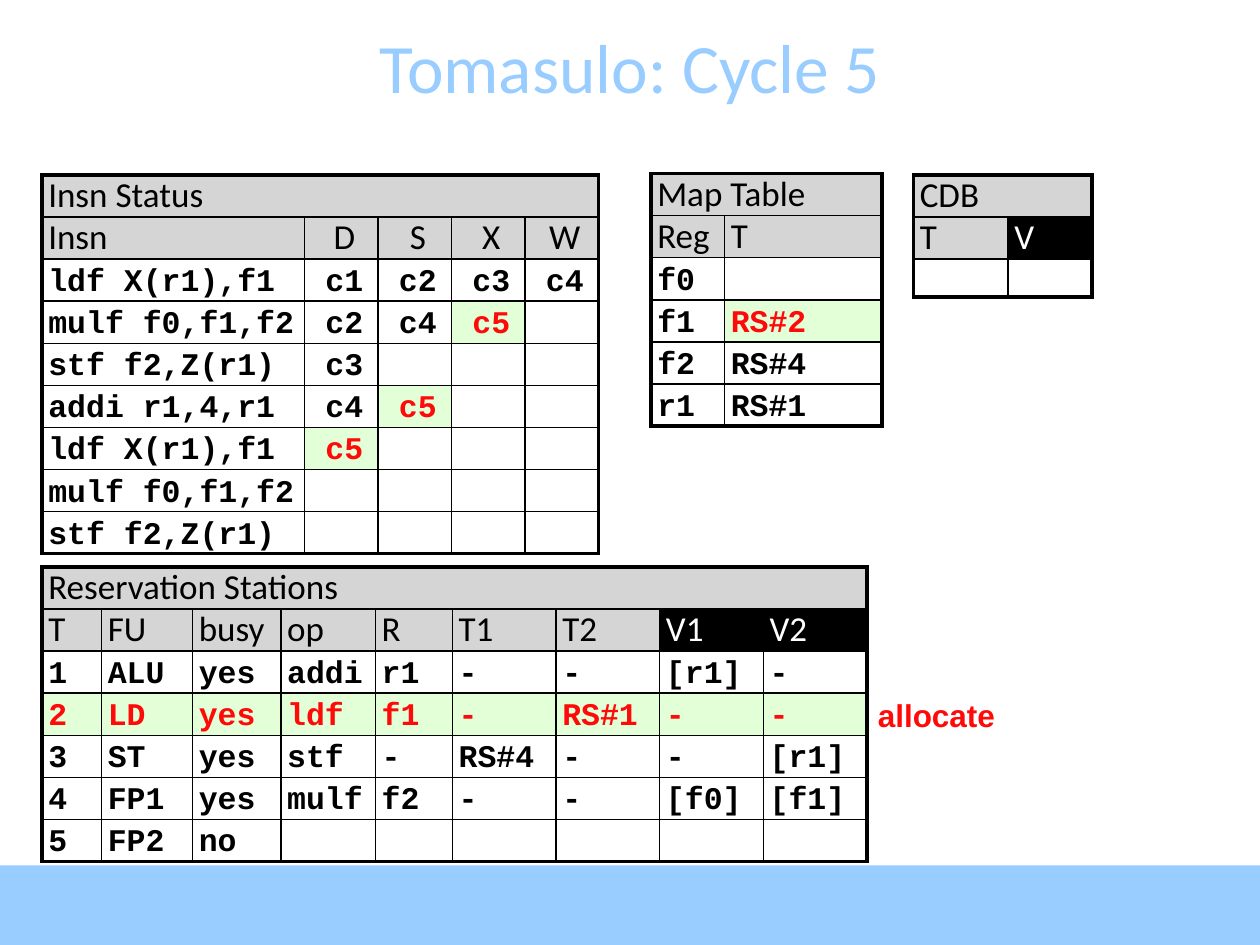
from dataclasses import dataclass

from lxml.etree import SubElement
from pptx import Presentation
from pptx.dml.color import RGBColor
from pptx.enum.shapes import MSO_SHAPE as Shape
from pptx.enum.text import MSO_ANCHOR as Anchor, PP_ALIGN as Align
from pptx.oxml.ns import qn
from pptx.util import Pt


@dataclass(frozen=True)
class Theme:
    sky: str = "99CCFF"
    black: str = "000000"
    white: str = "FFFFFF"
    grey: str = "D5D5D5"
    mint: str = "E2FFD8"
    red: str = "FF0909"
    title: float = 39.6
    head: float = 20
    body: float = 18
    thick: float = 2.25
    thin: float = 1
    row: float = 24


THEME = Theme()
HEAD = {"size": Pt(THEME.head), "name": "Calibri", "bold": False}
CODE = {"size": Pt(THEME.body), "name": "Courier New", "bold": True}

# A leading * marks an entry that is new in this cycle.
INSNS = """Insn|D|S|X|W
ldf X(r1),f1|c1|c2|c3|c4
mulf f0,f1,f2|c2|c4|*c5|
stf f2,Z(r1)|c3|||
addi r1,4,r1|c4|*c5||
ldf X(r1),f1|*c5|||
mulf f0,f1,f2||||
stf f2,Z(r1)||||"""

REGS = """Reg|T
f0|
f1|*RS#2
f2|RS#4
r1|RS#1"""

STATIONS = """T|FU|busy|op|R|T1|T2|V1|V2
1|ALU|yes|addi|r1|-|-|[r1]|-
*2|*LD|*yes|*ldf|*f1|*-|*RS#1|*-|*-
3|ST|yes|stf|-|RS#4|-|-|[r1]
4|FP1|yes|mulf|f2|-|-|[f0]|[f1]
5|FP2|no||||||"""

BUS = """T|V
|"""


def write(para, text, color, fmt):
    run = para.add_run()
    run.text = text
    for name, value in fmt.items():
        setattr(run.font, name, value)
    run.font.color.rgb = RGBColor.from_string(color)


def add_bar(slide, x, y, w, h):
    bar = slide.shapes.add_shape(Shape.RECTANGLE, Pt(x), Pt(y), Pt(w), Pt(h))
    bar.shadow.inherit = False
    bar.fill.solid()
    bar.fill.fore_color.rgb = RGBColor.from_string(THEME.sky)
    bar.line.fill.background()


def add_label(slide, box, text, color, fmt, align=Align.LEFT, wrap=False):
    frame = slide.shapes.add_textbox(*map(Pt, box)).text_frame
    frame.word_wrap = wrap
    frame.vertical_anchor = Anchor.MIDDLE
    para = frame.paragraphs[0]
    para.alignment = align
    write(para, text, color, fmt)


def rule(cell, r, c, rows, cols):
    """Draw thick lines on the outer edges of the table, thin ones inside."""
    outer = {"L": c == 0, "R": c + cell.span_width == cols,
             "T": r == 0, "B": r == rows - 1}
    props = cell._tc.get_or_add_tcPr()
    for side, edge in outer.items():
        if r == 0 and side in "LR" and not edge:
            continue
        width = Pt(THEME.thick if edge else THEME.thin)
        line = SubElement(props, qn(f"a:ln{side}"), w=str(width))
        fill = SubElement(line, qn("a:solidFill"))
        SubElement(fill, qn("a:srgbClr"), val=THEME.black)


def fill_cell(cell, text, head, align):
    new = text.startswith("*")
    dark = head and text in ("V", "V1", "V2")
    if head:
        back = THEME.black if dark else THEME.grey
    else:
        back = THEME.mint if new else None
    if back:
        cell.fill.solid()
        cell.fill.fore_color.rgb = RGBColor.from_string(back)
    else:
        cell.fill.background()
    para = cell.text_frame.paragraphs[0]
    para.alignment = align
    para.line_spacing = Pt(THEME.row if text else THEME.body)
    if text:
        color = THEME.white if dark else THEME.red if new else THEME.black
        write(para, text.lstrip("*"), color, HEAD if head else CODE)


def add_grid(slide, x, y, widths, title, data, rest=Align.LEFT, last=THEME.row):
    """Add a titled table; rest aligns all columns but the first."""
    cols = len(widths)
    body = [line.split("|") for line in data.splitlines()]
    lines = [[title] + [""] * (cols - 1)] + body
    rows = len(lines)
    heights = [THEME.row] * (rows - 1) + [last]
    table = slide.shapes.add_table(rows, cols, Pt(x), Pt(y), Pt(sum(widths)),
                                   Pt(sum(heights))).table
    table.first_row = table.horz_banding = False
    for col, width in zip(table.columns, widths):
        col.width = Pt(width)
    for row, height in zip(table.rows, heights):
        row.height = Pt(height)
    table.cell(0, 0).merge(table.cell(0, cols - 1))
    margins = {"margin_left": Pt(3.6), "margin_right": 0,
               "margin_top": 0, "margin_bottom": 0}
    for r, line in enumerate(lines):
        for c, text in enumerate(line):
            cell = table.cell(r, c)
            for name, value in margins.items():
                setattr(cell, name, value)
            rule(cell, r, c, rows, cols)
            fill_cell(cell, text, r < 2, rest if c else Align.LEFT)


def main():
    deck = Presentation()
    deck.slide_width, deck.slide_height = Pt(720), Pt(540)
    slide = deck.slides.add_slide(deck.slide_layouts[6])
    add_bar(slide, 0, 494.5, 720, 45.5)
    add_label(slide, (0, 15, 720, 45), "Tomasulo: Cycle 5", THEME.sky,
              {"size": Pt(THEME.title), "name": "Calibri"}, Align.CENTER, True)
    add_grid(slide, 24, 100, [150] + [42] * 4, "Insn Status", INSNS, Align.CENTER)
    add_grid(slide, 372, 99.2, [42, 90], "Map Table", REGS)
    add_grid(slide, 24, 324, [34, 52, 50.5, 54, 44] + [59.25] * 4,
             "Reservation Stations", STATIONS)
    add_grid(slide, 522, 100, [54, 48], "CDB", BUS, last=19.5)
    add_label(slide, (494.5, 394, 81.5, 29), "allocate", THEME.red,
              {"size": Pt(THEME.body), "name": "Arial", "bold": True})
    deck.save("out.pptx")


if __name__ == "__main__":
    main()
